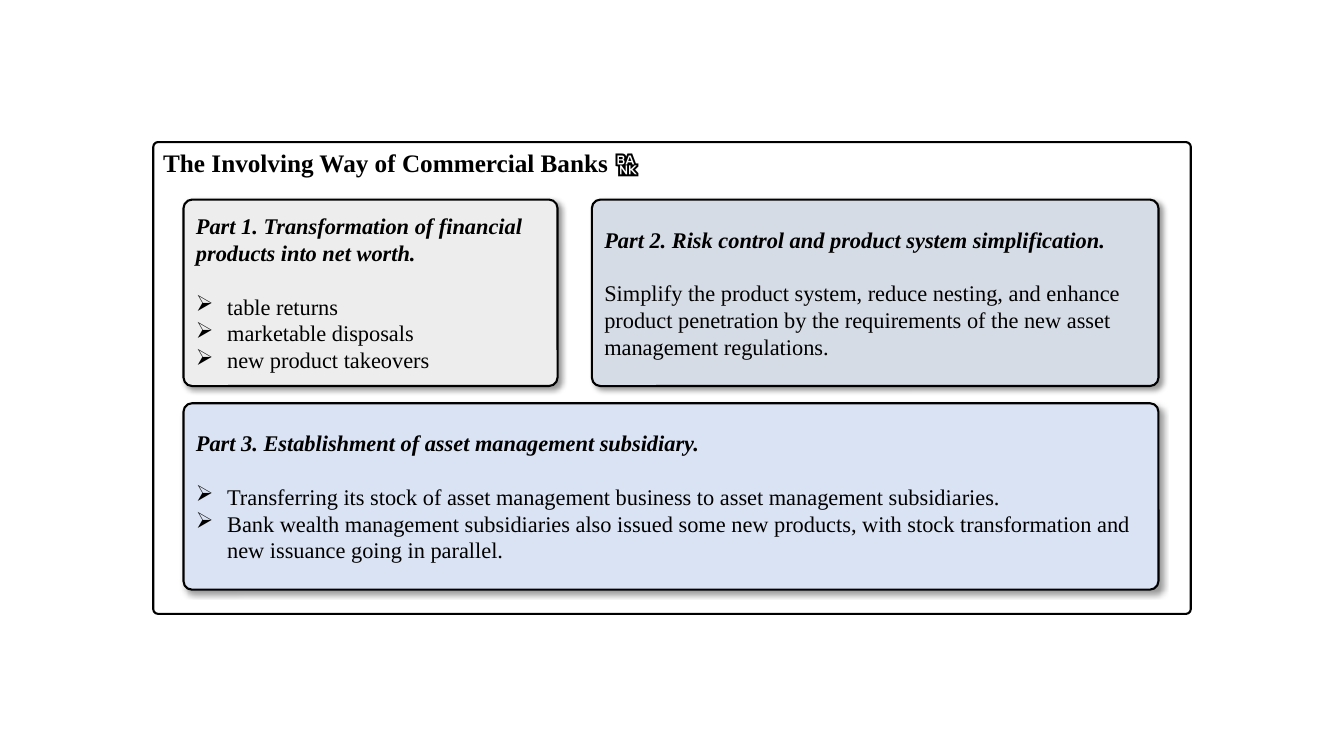
import pptx
import pptx.util
import pptx.dml.color
import pptx.enum.shapes
import pptx.enum.text
import pptx.oxml
import pptx.oxml.ns
import lxml.etree

Inches = pptx.util.Inches
Pt = pptx.util.Pt
ns = pptx.oxml.ns.nsdecls("a")
ROUND = pptx.enum.shapes.MSO_SHAPE.ROUNDED_RECTANGLE


def paint(color, value):
    color.rgb = pptx.dml.color.RGBColor.from_string(value)


def style(para, size, bold, slant):
    para.alignment = pptx.enum.text.PP_ALIGN.LEFT
    for run in para.runs:
        run.font.name = "Times New Roman"
        run.font.size = Pt(size)
        run.font.bold = bold
        run.font.italic = slant
        paint(run.font.color, "000000")


deck = pptx.Presentation()
deck.slide_width = Inches(13.33)
deck.slide_height = Inches(7.5)
slide = deck.slides.add_slide(deck.slide_layouts[6])

frame = slide.shapes.add_shape(ROUND, Inches(1.52), Inches(1.41), Inches(10.29), Inches(4.68))
frame.adjustments[0] = 0.01
frame.shadow.inherit = False
frame.fill.background()
frame.line.width = Pt(1.5)
paint(frame.line.color, "000000")

title = slide.shapes.add_textbox(Inches(1.52), Inches(1.41), Inches(10.29), Inches(0.4))
title.text_frame.word_wrap = True
title.text_frame.text = "The Involving Way of Commercial Banks 🏦"
style(title.text_frame.paragraphs[0], 18, True, False)

parts = [
    (1.82, 1.98, 3.71, "EDEDED", True,
     "Part 1. Transformation of financial products into net worth.",
     ["table returns", "marketable disposals", "new product takeovers"]),
    (5.87, 1.98, 5.62, "D6DCE5", False,
     "Part 2. Risk control and product system simplification.",
     ["Simplify the product system, reduce nesting, and enhance product penetration "
      "by the requirements of the new asset management regulations."]),
    (1.82, 4, 9.67, "DAE3F3", True,
     "Part 3. Establishment of asset management subsidiary.",
     ["Transferring its stock of asset management business to asset management subsidiaries.",
      "Bank wealth management subsidiaries also issued some new products, "
      "with stock transformation and new issuance going in parallel."]),
]

for left, top, width, tint, listed, head, lines in parts:
    card = slide.shapes.add_shape(ROUND, Inches(left), Inches(top), Inches(width), Inches(1.85))
    card.adjustments[0] = 0.046
    card.fill.solid()
    paint(card.fill.fore_color, tint)
    card.line.width = Pt(1.5)
    paint(card.line.color, "000000")
    card.shadow.inherit = False
    effects = card._element.spPr.find(pptx.oxml.ns.qn("a:effectLst"))
    effects.append(pptx.oxml.parse_xml(
        f'<a:outerShdw {ns} blurRad="{Pt(4)}" dist="{Pt(3)}" dir="2700000" algn="tl" rotWithShape="0">'
        '<a:srgbClr val="000000"><a:alpha val="40000"/></a:srgbClr></a:outerShdw>'))

    text = card.text_frame
    text.word_wrap = True
    text.vertical_anchor = pptx.enum.text.MSO_ANCHOR.MIDDLE
    text.text = head
    style(text.paragraphs[0], 16, True, True)
    for index, line in enumerate(lines):
        para = text.add_paragraph()
        para.text = line
        if index == 0:
            para.space_before = Pt(19)
        if listed:
            props = para._p.get_or_add_pPr()
            props.set("marL", str(Inches(0.31)))
            props.set("indent", str(Inches(-0.31)))
            mark = lxml.etree.SubElement(props, pptx.oxml.ns.qn("a:buChar"))
            mark.set("char", "➢")
        style(para, 16, False, False)

deck.save("out.pptx")
